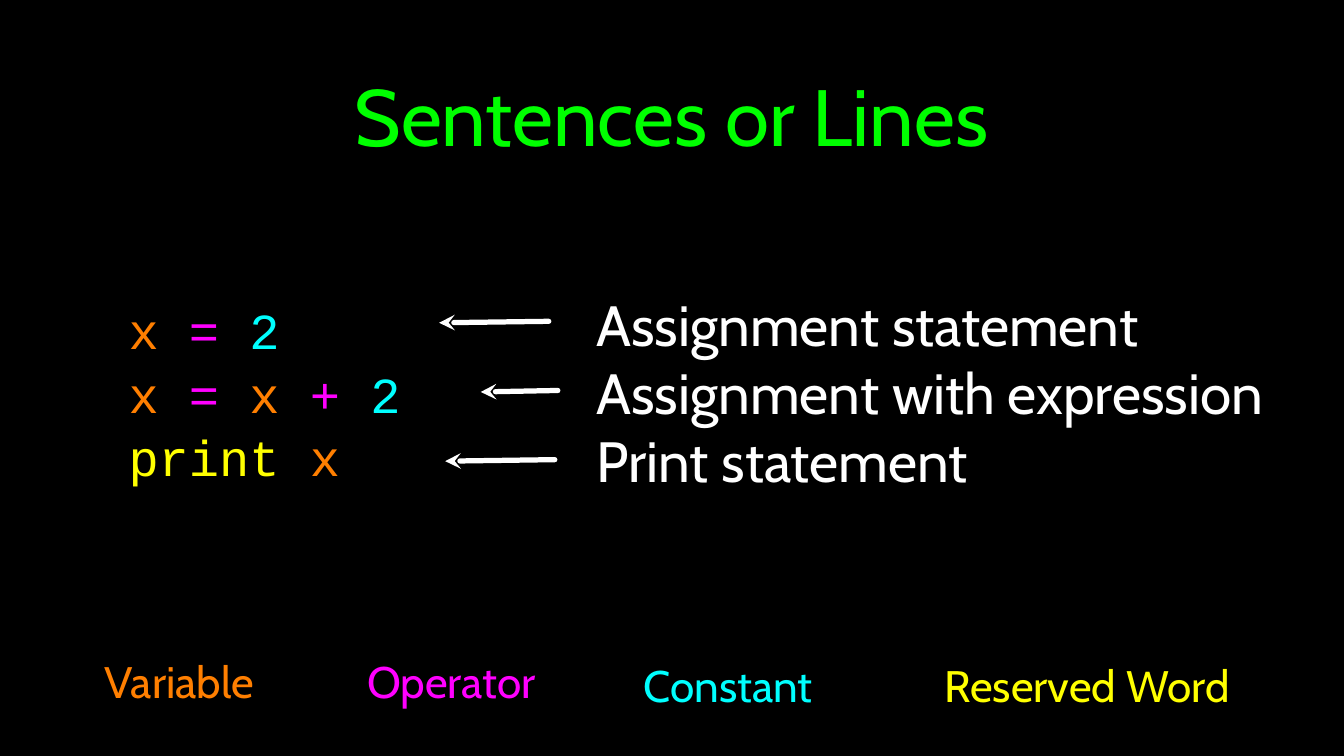
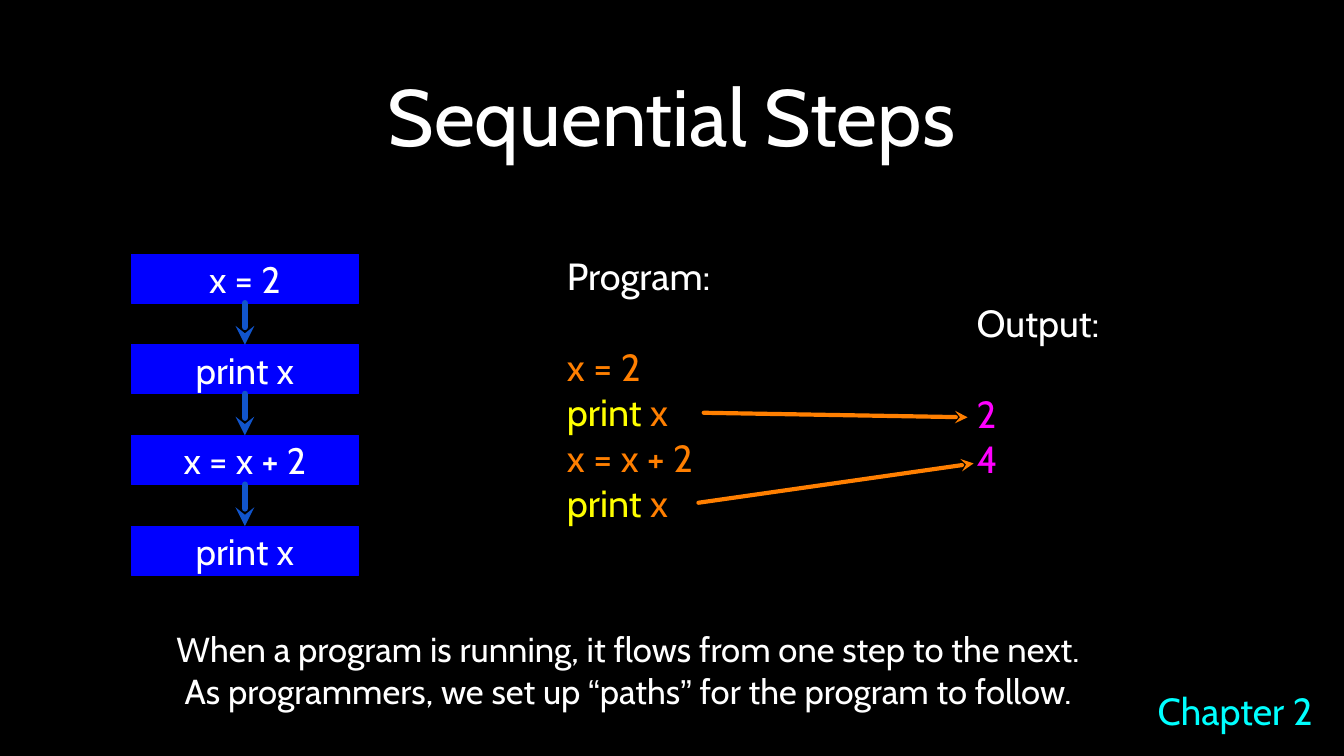
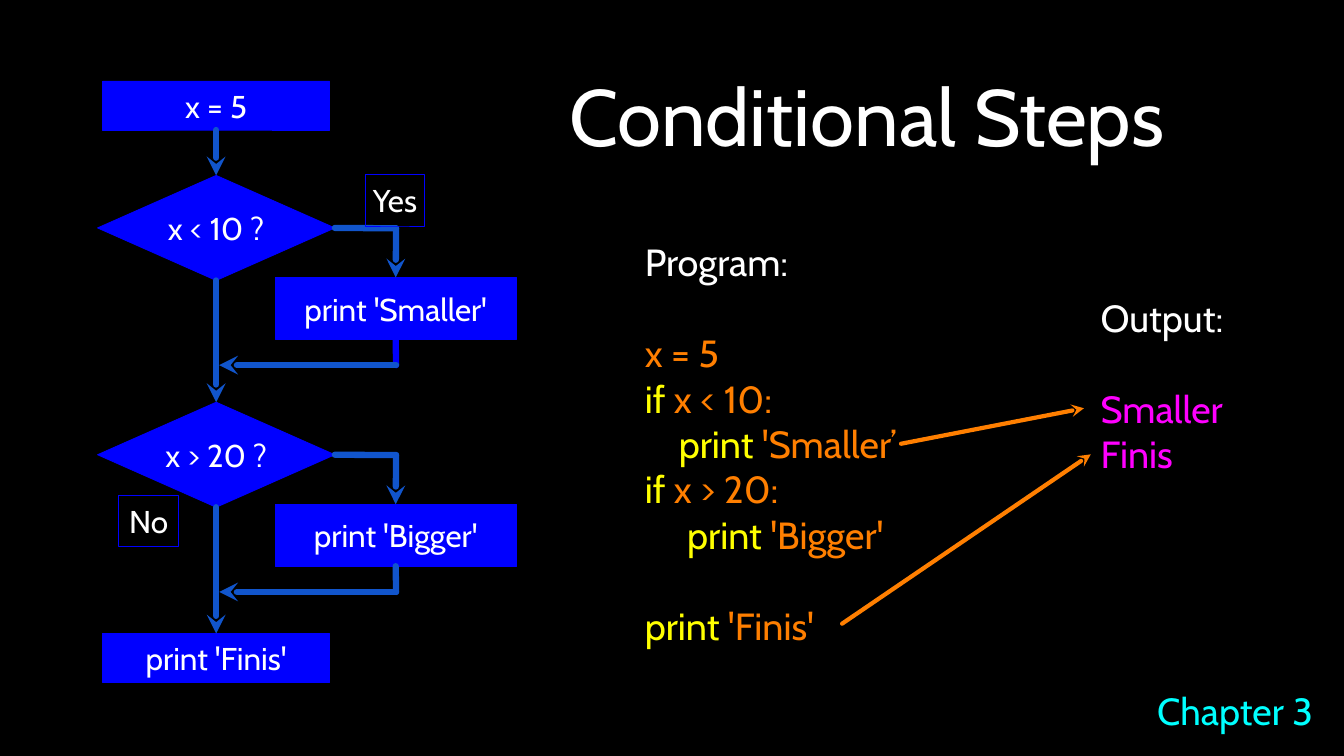
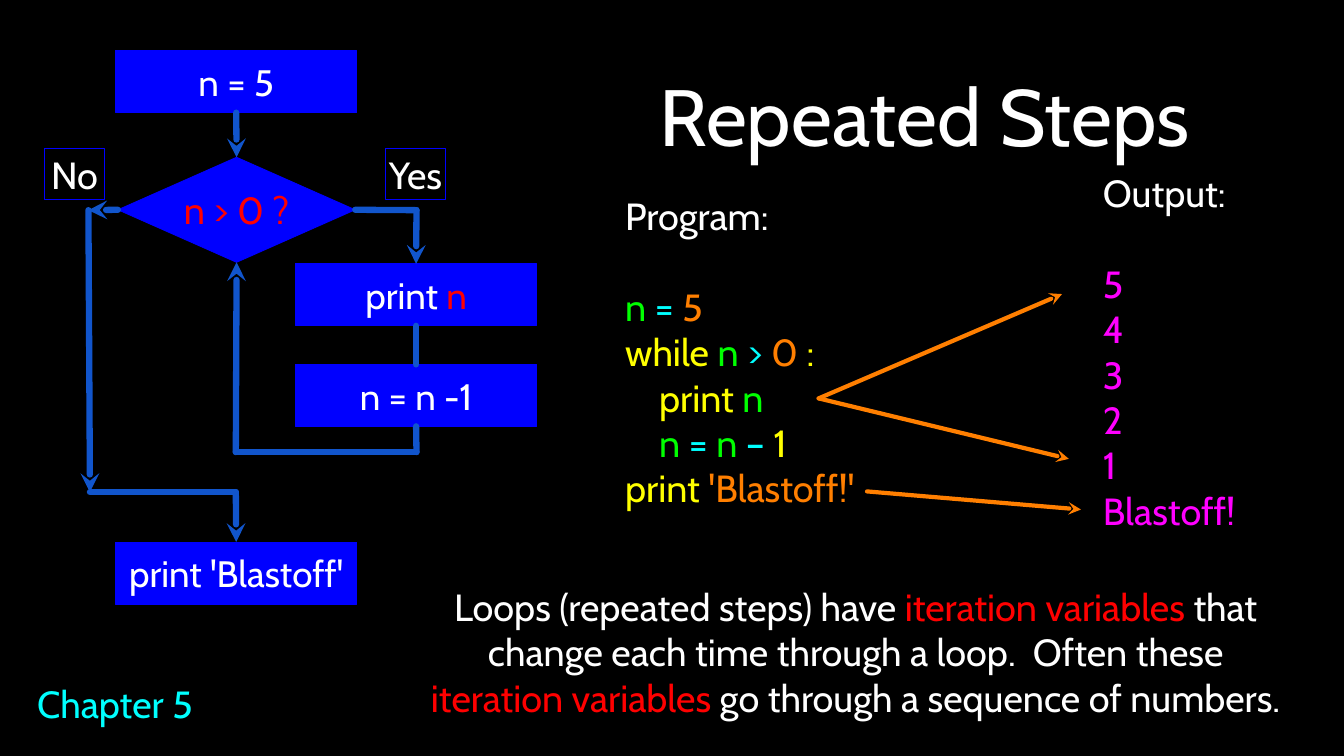
from dataclasses import dataclass
from itertools import pairwise

from lxml.etree import SubElement
from pptx import Presentation
from pptx.dml.color import RGBColor
from pptx.enum.shapes import MSO_CONNECTOR as Connector, MSO_SHAPE as Preset
from pptx.enum.text import MSO_ANCHOR as Anchor, MSO_AUTO_SIZE as AutoSize, PP_ALIGN as Align
from pptx.oxml.ns import qn
from pptx.util import Inches, Pt

# The slide is a grid of square cells: 177.8 columns by 100 rows.
CELL = Inches(0.1)
COLUMNS, ROWS = 177.8, 100
TITLE_ONLY = 5
TOP, LEFT, BOTTOM, RIGHT = range(4)

BLACK, WHITE, RED, GREEN = "000000", "FFFFFF", "FF0000", "00FF00"
ORANGE, MAGENTA, CYAN, YELLOW = "FF7F00", "FF00FF", "00FFFF", "FFFF00"
BOX_BLUE, FLOW_BLUE = "0000FF", "1155CC"

FONT, CODE_FONT, QUOTE_FONT = "Cabin", "Courier New", "Arial"
LISTING_SIZE = 36
LISTING_GAP = 43.7  # one line of the listing, in points


@dataclass
class Line:
    """One paragraph: runs of (text, colour[, font]), indent in cells, space before in points."""
    runs: list
    indent: float = 0
    gap: float = 0


def cells(*numbers):
    return [round(number * CELL) for number in numbers]


def rgb(color):
    return RGBColor.from_string(color)


def write(shape, lines, size, align=Align.CENTER, font=FONT, inset=0):
    frame = shape.text_frame
    frame.word_wrap = True
    frame.auto_size = AutoSize.NONE
    frame.vertical_anchor = Anchor.MIDDLE
    frame.margin_left = frame.margin_right = Inches(inset)
    frame.margin_top = frame.margin_bottom = Inches(inset)
    for index, line in enumerate(lines):
        paragraph = frame.add_paragraph() if index else frame.paragraphs[0]
        paragraph.alignment = align
        paragraph.space_before = Pt(line.gap)
        if line.indent:
            properties = paragraph._p.get_or_add_pPr()
            properties.set("marL", str(round(line.indent * CELL)))
            properties.set("indent", "0")
        for text, color, *own_font in line.runs:
            run = paragraph.add_run()
            run.text = text
            run.font.size = Pt(size)
            run.font.name = own_font[0] if own_font else font
            run.font.color.rgb = rgb(color)


def add_slide(presentation, title, left=12.6, width=152.4, color=WHITE):
    slide = presentation.slides.add_slide(presentation.slide_layouts[TITLE_ONLY])
    shape = slide.shapes.title
    shape.left, shape.top, shape.width, shape.height = cells(left, 2.6, width, 25.1)
    write(shape, [Line([(title, color)])], 76, inset=0.04)
    return slide


def add_text(slide, place, lines, size, align=Align.LEFT, font=FONT):
    write(slide.shapes.add_textbox(*cells(*place)), lines, size, align, font)


def add_listing(slide, place, heading, lines):
    """A white heading, a gap, then coloured lines."""
    lines[0].gap = LISTING_GAP
    add_text(slide, place, [Line([(heading, WHITE)]), *lines], LISTING_SIZE)


def add_output(slide, place, words):
    add_listing(slide, place, "Output:", [Line([(word, MAGENTA)]) for word in words])


def add_chapter(slide, number, left=152.5, top=90.6):
    add_text(slide, (left, top, 21.8, 6.8), [Line([(f"Chapter {number}", CYAN)])], 36, Align.CENTER)


def add_node(slide, place, runs, size, preset=Preset.RECTANGLE, filled=True):
    shape = slide.shapes.add_shape(preset, *cells(*place))
    shape.shadow.inherit = False
    if filled:
        shape.fill.solid()
        shape.fill.fore_color.rgb = rgb(BOX_BLUE)
    else:
        shape.fill.background()
    shape.line.color.rgb = rgb(BOX_BLUE)
    shape.line.width = Pt(0.75)
    write(shape, [Line(runs)], size)
    return shape


def add_step(slide, left, top, text, size):
    return add_node(slide, (left, top, 30, 6.5), [(text, WHITE)], size)


def add_big_step(slide, left, top, runs, size):
    return add_node(slide, (left, top, 31.9, 8.2), runs, size)


def add_question(slide, left, top, text, size, color=WHITE):
    return add_node(slide, (left, top, 31.4, 13.9), [(text, color)], size, Preset.DIAMOND)


def add_answer(slide, left, top, text, size):
    add_node(slide, (left, top, 7.9, 6.8), [(text, WHITE)], size, filled=False)


def add_line(slide, start, end, color=FLOW_BLUE, width=6, arrow=True):
    """Each end is a (column, row) point or a (shape, side) pair to join."""
    ends = (start, end)
    joined = [hasattr(first, "shape_id") for first, _ in ends]
    points = [(0, 0) if join else cells(*point) for join, point in zip(joined, ends)]
    connector = slide.shapes.add_connector(Connector.STRAIGHT, *points[0], *points[1])
    if joined[0]:
        connector.begin_connect(*start)
    if joined[1]:
        connector.end_connect(*end)
    connector.line.color.rgb = rgb(color)
    connector.line.width = Pt(width)
    properties = connector._element.spPr
    outline = properties.find(qn("a:ln"))
    outline.set("cap", "rnd")
    if arrow:
        SubElement(outline, qn("a:tailEnd"), type="stealth")
    SubElement(properties, qn("a:effectLst"))


def add_route(slide, *stops):
    """A flow line through several stops, with its arrowhead at the last."""
    for start, end in pairwise(stops):
        add_line(slide, start, end, arrow=end is stops[-1])


def add_result_arrow(slide, start, end):
    add_line(slide, start, end, ORANGE, 4)


def build_sentences(presentation):
    slide = add_slide(presentation, "Sentences or Lines", color=GREEN)
    code = [
        Line([("x ", ORANGE), ("= ", MAGENTA), ("2", CYAN)]),
        Line([("x ", ORANGE), ("=", MAGENTA), (" x ", ORANGE), ("+ ", MAGENTA), ("2", CYAN)], gap=3),
        Line([("print", YELLOW), (" x", ORANGE)], gap=3),
    ]
    add_text(slide, (17, 29.9, 43.8, 44.2), code, 48, font=CODE_FONT)
    meanings = ["Assignment statement", "Assignment with expression", "Print statement"]
    add_text(slide, (78.9, 29.7, 92.6, 44.2), [Line([(text, WHITE)]) for text in meanings], 54)
    for row, (start, end) in enumerate([(72.6, 58.1), (73.8, 63.6), (73.4, 58.9)]):
        top = 42.5 + 9.15 * row
        add_line(slide, (start, top), (end, top + 0.2), WHITE, 5)
    for left, top, width, text, color in [
        (10.9, 86.1, 25.6, "Variable", ORANGE),
        (47.7, 86.1, 24, "Operator", MAGENTA),
        (84.8, 86.7, 23.1, "Constant", CYAN),
        (124.7, 86.7, 38.2, "Reserved Word", YELLOW),
    ]:
        add_text(slide, (left, top, width, 7.9), [Line([(text, color)])], 42, Align.CENTER)


def build_sequence(presentation):
    slide = add_slide(presentation, "Sequential Steps")
    print_x = [("print", YELLOW), (" x", ORANGE)]
    add_listing(slide, (75, 33.6, 23.8, 35.7), "Program:", [
        Line([("x = 2", ORANGE)]),
        Line(print_x),
        Line([("x = x + 2", ORANGE)]),
        Line(print_x),
    ])
    add_output(slide, (129.2, 40, 21.8, 23.3), ["2", "4"])
    steps = [add_step(slide, 17.4, 33.6 + 12 * row, text, 35)
             for row, text in enumerate(["x = 2", "print x", "x = x + 2", "print x"])]
    for upper, lower in pairwise(steps):
        add_line(slide, (upper, BOTTOM), (lower, TOP))
    add_result_arrow(slide, (93.1, 54.6), (128, 55.2))
    add_result_arrow(slide, (92.4, 66.5), (128.8, 61.3))
    add_text(slide, (22.5, 82.7, 121.2, 11.7), [Line([
        ("When a program is running, it flows from one step to the next. "
         "As programmers, we set up ", WHITE),
        ("“", WHITE, QUOTE_FONT),
        ("paths", WHITE),
        ("”", WHITE, QUOTE_FONT),
        (" for the program to follow.", WHITE),
    ])], 33, Align.CENTER)
    add_chapter(slide, 2)


def add_branch(slide, top, question, action, exit_color):
    """A question with an action on its right that rejoins the main flow."""
    diamond = add_question(slide, 12.9, top, question, 30)
    box = add_big_step(slide, 36.4, top + 13.5, [(action, WHITE)], 30)
    add_route(slide, (diamond, RIGHT), (52.4, top + 7), (box, TOP))
    corner = (52.4, top + 25.1)
    add_line(slide, (box, BOTTOM), corner, exit_color, arrow=False)
    add_line(slide, corner, (29, top + 25.1))
    return diamond


def build_condition(presentation):
    slide = add_slide(presentation, "Conditional Steps", 64.3, 100.7)
    add_output(slide, (145.6, 39, 17.3, 23.9), ["Smaller", "Finis"])
    add_listing(slide, (85.3, 31.4, 36, 54.5), "Program:", [
        Line([("x = 5", ORANGE)]),
        Line([("if", YELLOW), (" x < 10:", ORANGE)]),
        Line([("print", YELLOW), (" 'Smaller’", ORANGE)], indent=4.5),
        Line([("if", YELLOW), (" x > 20:", ORANGE)]),
        Line([("print", YELLOW), (" 'Bigger'", ORANGE)], indent=5.6),
        Line([("print", YELLOW), (" 'Finis'", ORANGE)], gap=LISTING_GAP),
    ])
    flow = [
        add_step(slide, 13.6, 10.7, "x = 5", 30),
        add_branch(slide, 23.2, "x < 10 ?", "print 'Smaller'", BOX_BLUE),
        add_branch(slide, 53.2, "x > 20 ?", "print 'Bigger'", FLOW_BLUE),
        add_step(slide, 13.6, 83.8, "print 'Finis'", 30),
    ]
    for upper, lower in pairwise(flow):
        add_line(slide, (upper, BOTTOM), (lower, TOP))
    add_result_arrow(slide, (119.2, 58.7), (143.4, 54))
    add_result_arrow(slide, (111.4, 82.5), (144.3, 60.1))
    add_answer(slide, 48.3, 23.1, "Yes", 30)
    add_answer(slide, 15.7, 65.5, "No", 30)
    add_chapter(slide, 3)


def build_repetition(presentation):
    slide = add_slide(presentation, "Repeated Steps", 79.6, 85.4)
    add_output(slide, (145.9, 23.1, 21.8, 46.7), ["5", "4", "3", "2", "1", "Blastoff!"])
    add_listing(slide, (82.7, 25.3, 40.2, 42.4), "Program:", [
        Line([("n ", GREEN), ("= ", CYAN), ("5", ORANGE)]),
        Line([("while ", YELLOW), ("n ", GREEN), ("> ", CYAN), ("0", ORANGE), (" :", YELLOW)]),
        Line([("print ", YELLOW), ("n", GREEN)], indent=4.5),
        Line([("n ", GREEN), ("= ", CYAN), ("n ", GREEN), ("–", CYAN), (" 1", YELLOW)], indent=4.5),
        Line([("print ", YELLOW), ("'Blastoff!'", ORANGE)]),
    ])
    start = add_big_step(slide, 15.3, 6.7, [("n = 5", WHITE)], 35)
    question = add_question(slide, 15.6, 20.8, "n > 0 ?", 36, RED)
    show = add_big_step(slide, 39.1, 34.9, [("print ", WHITE), ("n", RED)], 35)
    decrease = add_big_step(slide, 39.1, 48.2, [("n = n -1", WHITE)], 35)
    finish = add_big_step(slide, 15.3, 71.7, [("print 'Blastoff'", WHITE)], 35)

    add_line(slide, (start, BOTTOM), (question, TOP))
    add_route(slide, (question, RIGHT), (55.1, 27.8), (show, TOP))
    add_line(slide, (show, BOTTOM), (decrease, TOP), arrow=False)
    add_route(slide, (decrease, BOTTOM), (55.1, 59.8), (31.2, 59.8), (question, BOTTOM))
    exit_top, exit_bottom = (11.7, 27.8), (11.9, 65.1)
    add_line(slide, (question, LEFT), exit_top)
    add_line(slide, exit_top, exit_bottom)
    add_route(slide, exit_bottom, (31.2, 65.1), (finish, TOP))

    for first, last in [((108.3, 52.7), (140.5, 38.9)),
                        ((108.3, 52.7), (141.4, 60.7)),
                        ((114.7, 65), (143, 67.4))]:
        add_result_arrow(slide, first, last)
    add_answer(slide, 5.9, 19.6, "No", 36)
    add_answer(slide, 51, 19.6, "Yes", 36)
    add_text(slide, (55.3, 77.1, 115.8, 18.2), [Line([
        ("Loops (repeated steps) have ", WHITE),
        ("iteration variables ", RED),
        ("that change each time through a loop.  Often these ", WHITE),
        ("iteration variables", RED),
        (" go through a sequence of numbers.", WHITE),
    ])], 36, Align.CENTER)
    add_chapter(slide, 5, 4.3, 89.7)


def main():
    presentation = Presentation()
    presentation.slide_width, presentation.slide_height = cells(COLUMNS, ROWS)
    background = presentation.slide_master.background.fill
    background.solid()
    background.fore_color.rgb = rgb(BLACK)
    build_sentences(presentation)
    build_sequence(presentation)
    build_condition(presentation)
    build_repetition(presentation)
    presentation.save("out.pptx")


if __name__ == "__main__":
    main()
